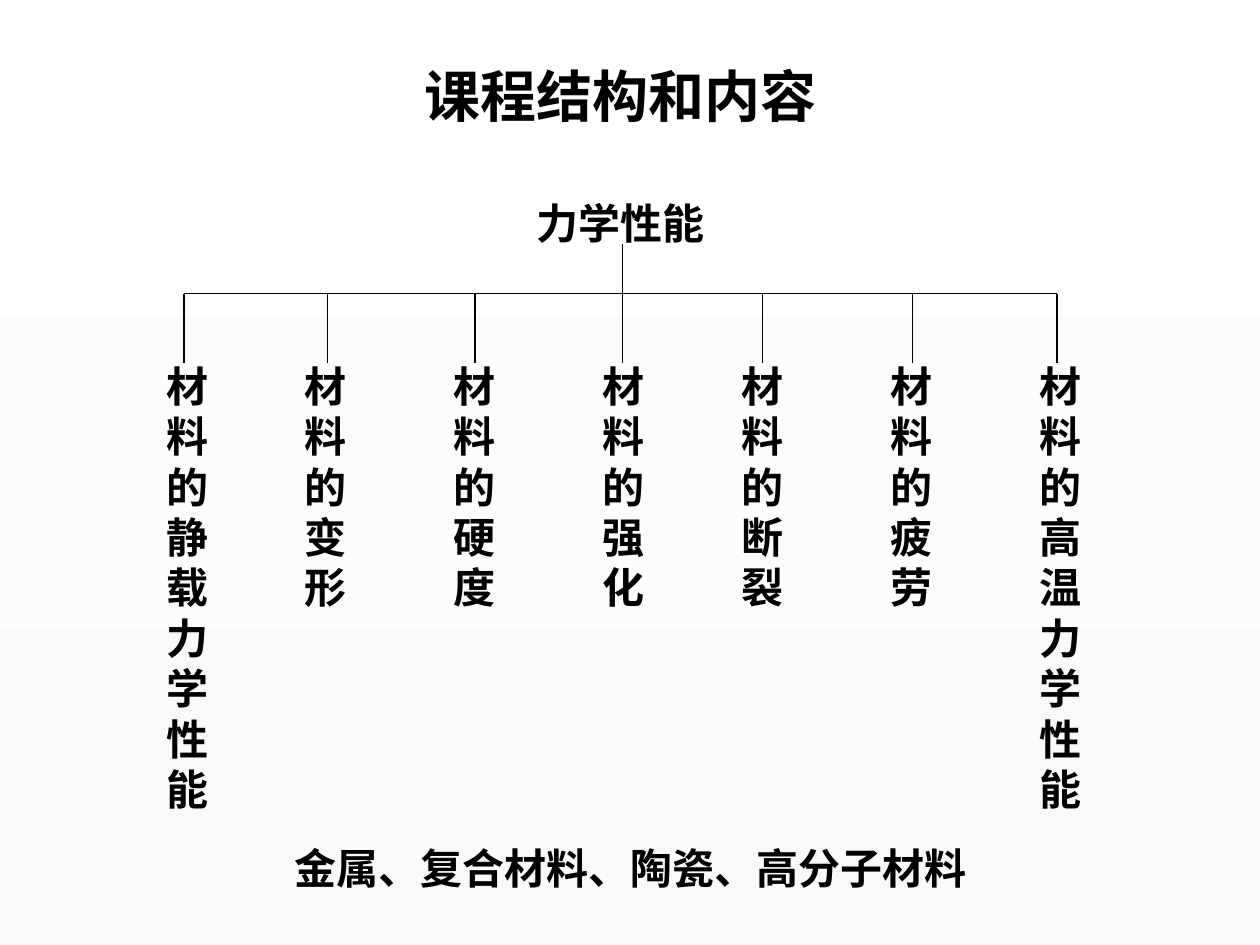
import pptx
import pptx.dml.color
import pptx.enum.shapes
import pptx.enum.text
import pptx.oxml.ns
import pptx.util
from lxml import etree
from pptx.util import Inches

BRANCHES = [
    ("材料的静载力学性能", 1.22, 1.46),
    ("材料的变形", 2.32, 2.6),
    ("材料的硬度", 3.5, 3.77),
    ("材料的强化", 4.68, 4.94),
    ("材料的断裂", 5.79, 6.05),
    ("材料的疲劳", 6.97, 7.24),
    ("材料的高温力学性能", 8.15, 8.39),
]
ROOT_X, ROOT_BOTTOM = 4.94, 1.94
RAIL_Y, BRANCH_BOTTOM = 2.33, 2.88
COLUMN_TOP, COLUMN_WIDTH = 2.81, 0.47
LINE_HEIGHT, MARGINS = 0.4, 0.1


def color(hex_string):
    """Return the colour for a hex string."""
    return pptx.dml.color.RGBColor.from_string(hex_string)


def paint_background(slide, top, bottom):
    """Fill the slide with a gradient running from top to bottom."""
    fill = slide.background.fill
    fill.gradient()
    fill.gradient_angle = 270
    for stop, hex_string in zip(fill.gradient_stops, (top, bottom)):
        stop.color.rgb = color(hex_string)


def add_text(slide, text, left, top, width, height, size=24, font="Times New Roman"):
    """Add a bold black text box that wraps within its width."""
    shape = slide.shapes.add_textbox(
        Inches(left), Inches(top), Inches(width), Inches(height)
    )
    text_frame = shape.text_frame
    text_frame.text = text
    text_frame.word_wrap = True
    text_frame.auto_size = pptx.enum.text.MSO_AUTO_SIZE.SHAPE_TO_FIT_TEXT
    run_font = text_frame.paragraphs[0].runs[0].font
    run_font.name = font
    run_font.size = pptx.util.Pt(size)
    run_font.bold = True
    run_font.color.rgb = color("000000")
    return shape


def add_line(slide, start_x, start_y, end_x, end_y):
    """Add a thin black straight line without a shadow."""
    connector = slide.shapes.add_connector(
        pptx.enum.shapes.MSO_CONNECTOR.STRAIGHT,
        Inches(start_x), Inches(start_y), Inches(end_x), Inches(end_y),
    )
    connector.line.color.rgb = color("000000")
    connector.line.width = pptx.util.Pt(0.75)
    properties = connector._element.spPr
    etree.SubElement(properties, pptx.oxml.ns.qn("a:effectLst"))


def add_branch(slide, text, left, line_x):
    """Add a column of single characters and the line leading down to it."""
    height = len(text) * LINE_HEIGHT + MARGINS
    add_text(slide, text, left, COLUMN_TOP, COLUMN_WIDTH, height)
    start_y = ROOT_BOTTOM if line_x == ROOT_X else RAIL_Y
    add_line(slide, line_x, start_y, line_x, BRANCH_BOTTOM)


def main():
    """Build the course structure slide."""
    presentation = pptx.Presentation()
    presentation.slide_width = Inches(10)
    presentation.slide_height = Inches(7.5)
    slide = presentation.slides.add_slide(presentation.slide_layouts[6])
    paint_background(slide, "FFFFFF", "F9F9F9")

    title = add_text(
        slide, "课程结构和内容", 3.27, 0.44, 3.39, 0.64, 32, "Noto Sans CJK SC"
    )
    title.text_frame.paragraphs[0].alignment = pptx.enum.text.PP_ALIGN.JUSTIFY
    add_text(slide, "力学性能", 4.16, 1.52, 1.57, 0.5)
    for text, left, line_x in BRANCHES:
        add_branch(slide, text, left, line_x)
    add_line(slide, BRANCHES[0][2], RAIL_Y, BRANCHES[-1][2], RAIL_Y)
    add_text(slide, "金属、复合材料、陶瓷、高分子材料", 2.24, 6.64, 5.59, 0.5)

    presentation.save("out.pptx")


if __name__ == "__main__":
    main()
